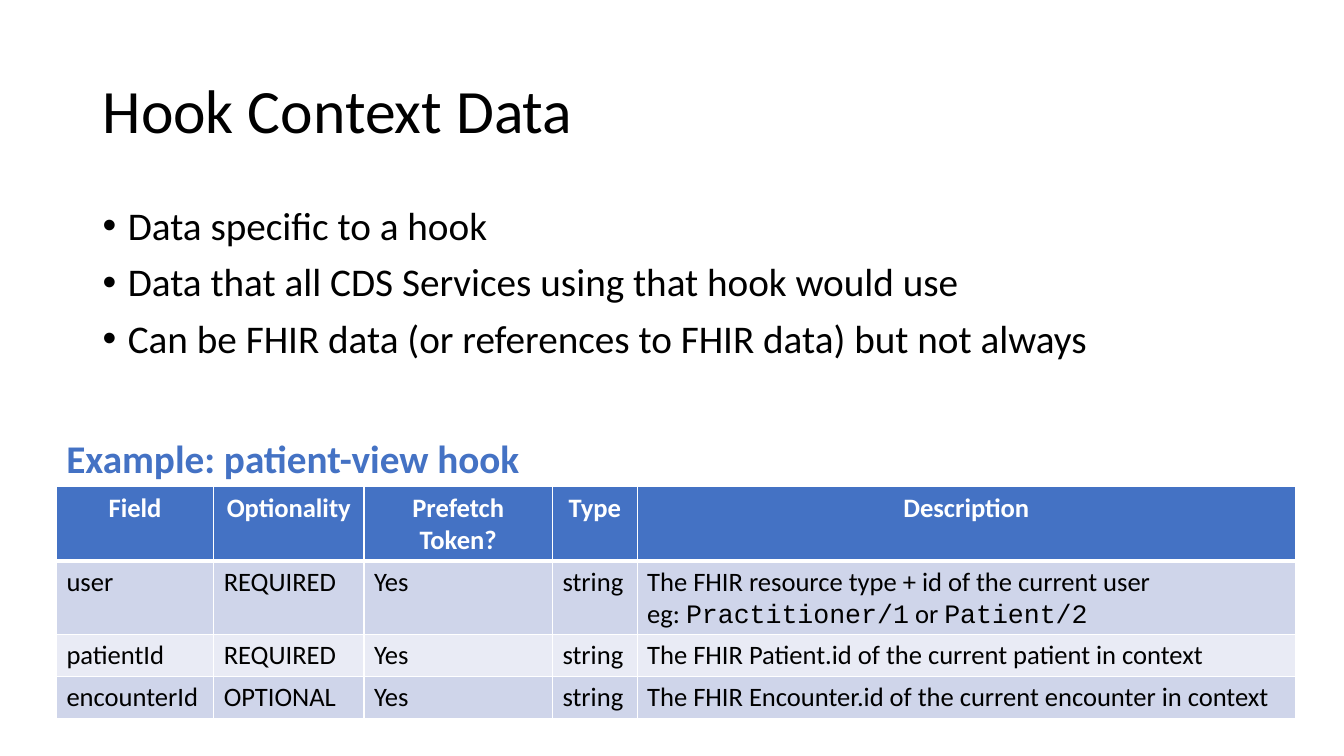
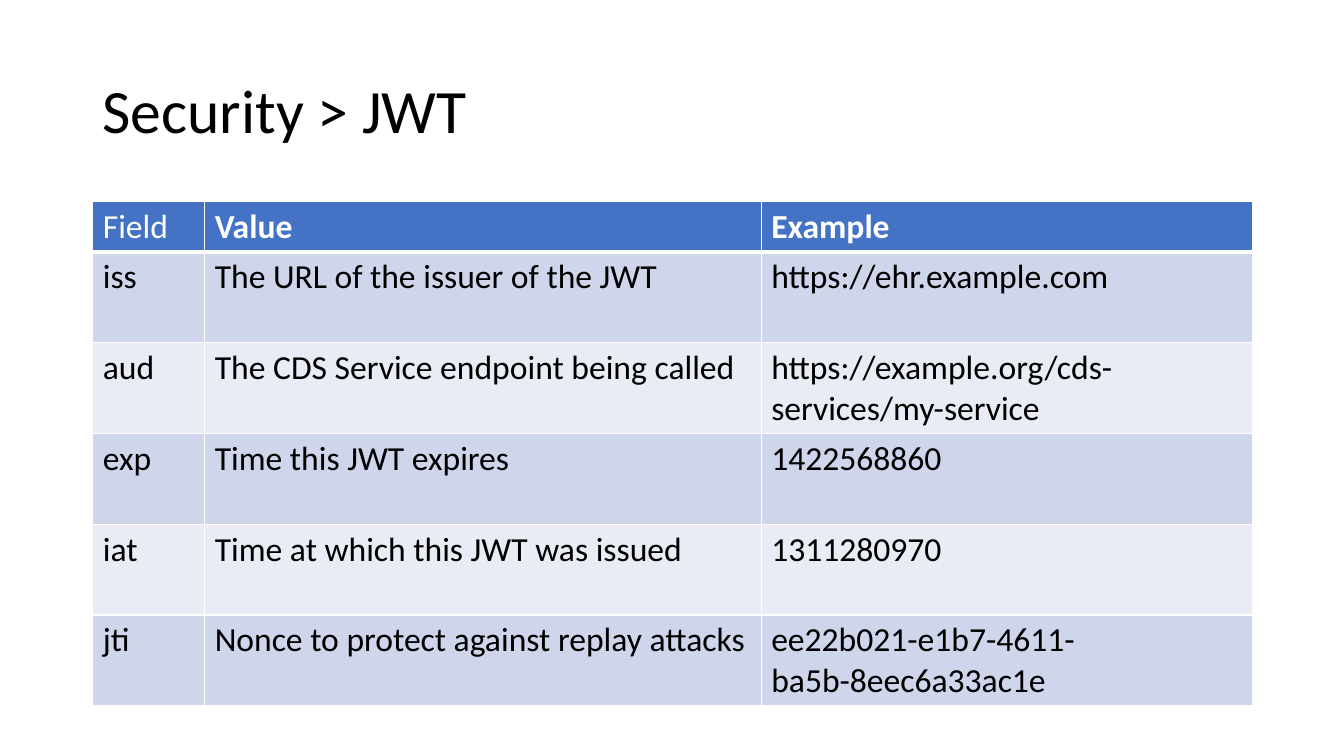
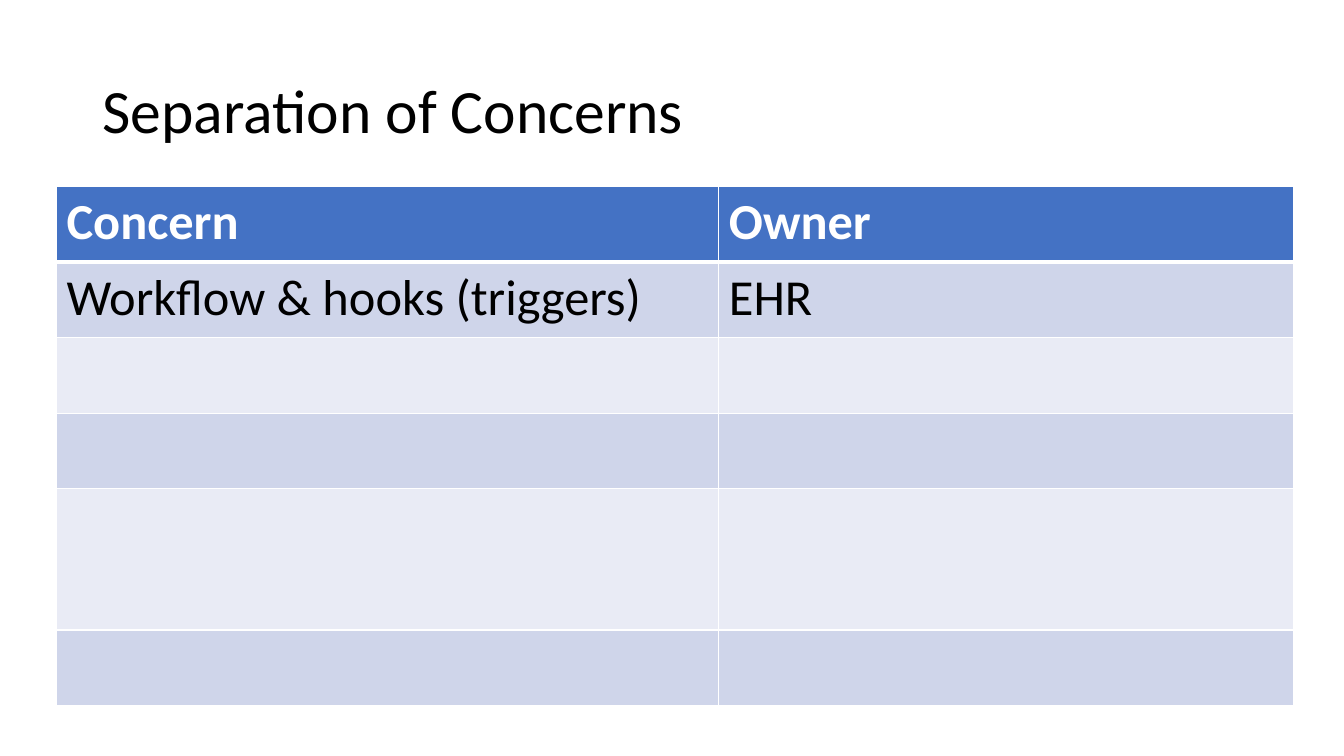
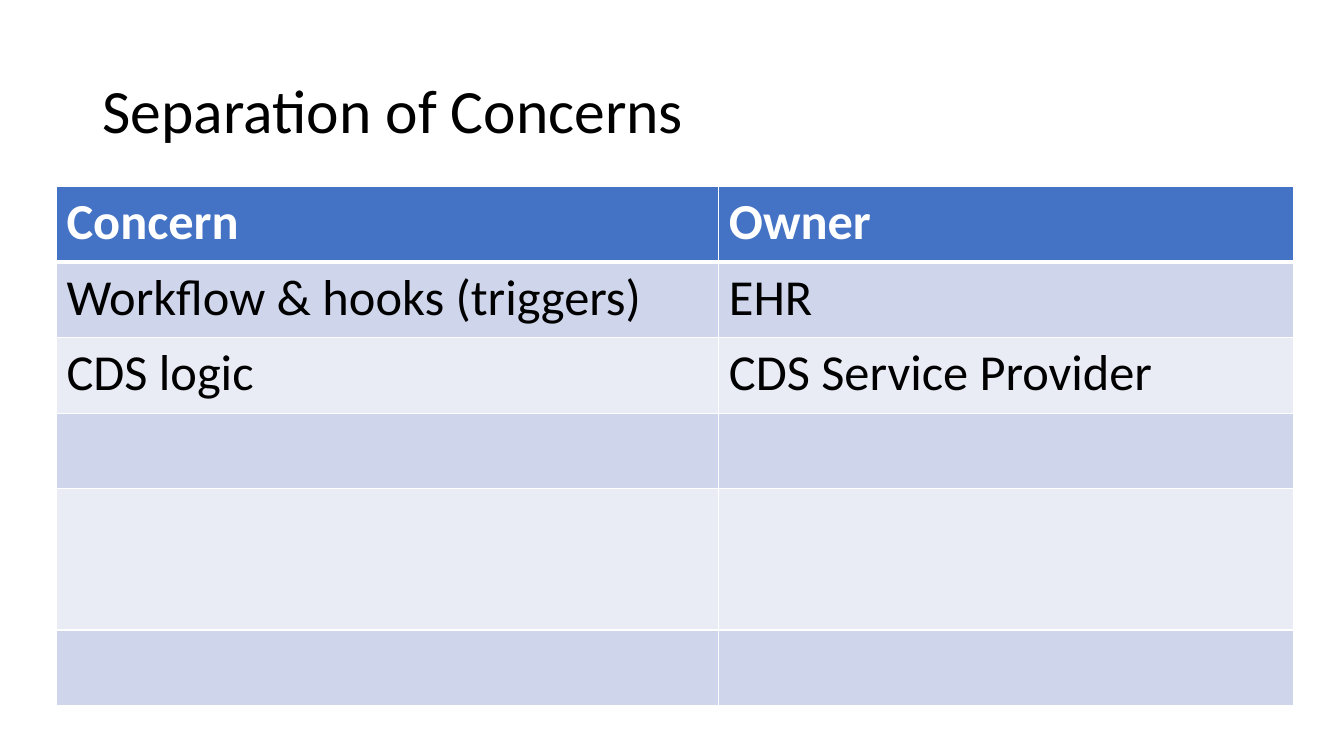
"""Build four slides on hook context data, JWT security and separation of concerns."""
from lxml import etree
from pptx import Presentation
from pptx.dml.color import RGBColor
from pptx.enum.text import MSO_ANCHOR, PP_ALIGN
from pptx.oxml.ns import qn
from pptx.util import Inches, Pt

MIDDLE = MSO_ANCHOR.MIDDLE
TOP = MSO_ANCHOR.TOP
LEFT = PP_ALIGN.LEFT
CENTER = PP_ALIGN.CENTER

BLACK, WHITE, BLUE = "000000", "FFFFFF", "4472C4"
BANDS = ["CFD5EA", "E9EBF5"]
FONT, CODE_FONT = "Calibri", "Courier New"
TITLE_AREA = (0.92, 0.4, 11.5, 1.45)
BULLETS_AREA = (0.92, 2, 11.5, 2.1)
EXAMPLE_AREA = (0.56, 4.26, 6.77, 0.57)

CONCERNS = [
    ("Concern", "Owner"),
    ("Workflow & hooks (triggers)", "EHR"),
    ("CDS logic", "CDS Service Provider"),
    ("", ""),
    ("", ""),
    ("", ""),
]
CONCERNS_LAYOUT = {
    "origin": (0.56, 1.85),
    "widths": [6.57, 5.7],
    "heights": [0.75, 0.75, 0.75, 0.75, 1.4, 0.75],
    "size": 36,
}

SLIDES = [
    {
        "title": "Hook Context Data",
        "bullets": [
            "Data specific to a hook",
            "Data that all CDS Services using that hook would use",
            "Can be FHIR data (or references to FHIR data) but not always",
        ],
        "example": "Example: patient-view hook",
        "table": {
            "origin": (0.56, 4.83),
            "widths": [1.56, 1.49, 1.87, 0.84, 6.53],
            "heights": [0.73, 0.73, 0.41, 0.41],
            "size": 19,
            "header_align": CENTER,
            "rows": [
                ("Field", "Optionality", "Prefetch Token?", "Type", "Description"),
                ("user", "REQUIRED", "Yes", "string",
                 "The FHIR resource type + id of the current user\n"
                 "eg: `Practitioner/1` or `Patient/2`"),
                ("patientId", "REQUIRED", "Yes", "string",
                 "The FHIR Patient.id of the current patient in context"),
                ("encounterId", "OPTIONAL", "Yes", "string",
                 "The FHIR Encounter.id of the current encounter in context"),
            ],
        },
    },
    {
        "title": "Security > JWT",
        "table": {
            "origin": (0.92, 2),
            "widths": [1.11, 5.52, 4.87],
            "heights": [0.41] + [0.9] * 5,
            "size": 24,
            "light_headers": ["Field"],
            "rows": [
                ("Field", "Value", "Example"),
                ("iss", "The URL of the issuer of the JWT", "https://ehr.example.com"),
                ("aud", "The CDS Service endpoint being called",
                 "https://example.org/cds-services/my-service"),
                ("exp", "Time this JWT expires", "1422568860"),
                ("iat", "Time at which this JWT was issued", "1311280970"),
                ("jti", "Nonce to protect against replay attacks",
                 "ee22b021-e1b7-4611-ba5b-8eec6a33ac1e"),
            ],
        },
    },
    {
        "title": "Separation of Concerns",
        "table": {**CONCERNS_LAYOUT, "rows": CONCERNS[:2] + [("", "")] * 4},
    },
    {
        "title": "Separation of Concerns",
        "table": {**CONCERNS_LAYOUT, "rows": CONCERNS},
    },
]


def color(value):
    """Return the colour of a hex string."""
    return RGBColor.from_string(value)


def write(para, text, size=28, fill=BLACK, bold=False, align=LEFT):
    """Write text into a paragraph, with backticks around code."""
    para.alignment = align
    para.font.size = Pt(size)
    for part_index, part in enumerate(text.split("`")):
        for line_index, line in enumerate(part.split("\n")):
            if line_index:
                para.add_line_break()
            if line:
                span = para.add_run()
                span.text = line
                span.font.name = CODE_FONT if part_index % 2 else FONT
                span.font.size = Pt(size)
                span.font.bold = bold
                span.font.color.rgb = color(fill)


def add_text(page, area, texts, anchor=TOP, spacing=1.0, bullets=False, **style):
    """Add a text box with one paragraph for each text."""
    box = page.shapes.add_textbox(*map(Inches, area))
    frame = box.text_frame
    frame.word_wrap = True
    frame.vertical_anchor = anchor
    for index, text in enumerate(texts):
        para = frame.add_paragraph() if index else frame.paragraphs[0]
        para.line_spacing = spacing
        if index:
            para.space_before = Pt(10)
        if bullets:
            properties = para._p.get_or_add_pPr()
            properties.set("marL", str(Inches(0.25)))
            properties.set("indent", str(Inches(-0.25)))
            etree.SubElement(properties, qn("a:buFont"), typeface="Arial")
            etree.SubElement(properties, qn("a:buChar"), char="•")
        write(para, text, **style)


def add_borders(cell, top, bottom):
    """Give a cell white borders, with top and bottom widths in points."""
    properties = cell._tc.get_or_add_tcPr()
    for side, width in (("L", 1), ("R", 1), ("T", top), ("B", bottom)):
        line = etree.SubElement(properties, qn(f"a:ln{side}"), w=str(Pt(width)))
        fill = etree.SubElement(line, qn("a:solidFill"))
        etree.SubElement(fill, qn("a:srgbClr"), val=WHITE)


def add_grid(page, rows, origin, widths, heights, size, header_align=LEFT, light_headers=()):
    """Add a table with a blue header row and banded body rows."""
    area = (*origin, sum(widths), sum(heights))
    table = page.shapes.add_table(len(rows), len(widths), *map(Inches, area)).table
    for column, width in zip(table.columns, widths):
        column.width = Inches(width)
    for index, (row, height, texts) in enumerate(zip(table.rows, heights, rows)):
        row.height = Inches(height)
        header = index == 0
        for cell, text in zip(row.cells, texts):
            add_borders(cell, top=3 if index == 1 else 1, bottom=3 if header else 1)
            cell.fill.solid()
            cell.fill.fore_color.rgb = color(BLUE if header else BANDS[(index - 1) % 2])
            write(
                cell.text_frame.paragraphs[0],
                text,
                size=size,
                fill=WHITE if header else BLACK,
                bold=header and text not in light_headers,
                align=header_align if header else LEFT,
            )


def main():
    """Build and save the deck."""
    deck = Presentation()
    deck.slide_width, deck.slide_height = Inches(13.33), Inches(7.5)
    for content in SLIDES:
        page = deck.slides.add_slide(deck.slide_layouts[6])
        add_text(page, TITLE_AREA, [content["title"]], anchor=MIDDLE, spacing=0.9, size=44)
        if "bullets" in content:
            add_text(page, BULLETS_AREA, content["bullets"], spacing=0.9, bullets=True)
        if "example" in content:
            add_text(page, EXAMPLE_AREA, [content["example"]], fill=BLUE, bold=True)
        add_grid(page, **content["table"])
    deck.save("out.pptx")


if __name__ == "__main__":
    main()
